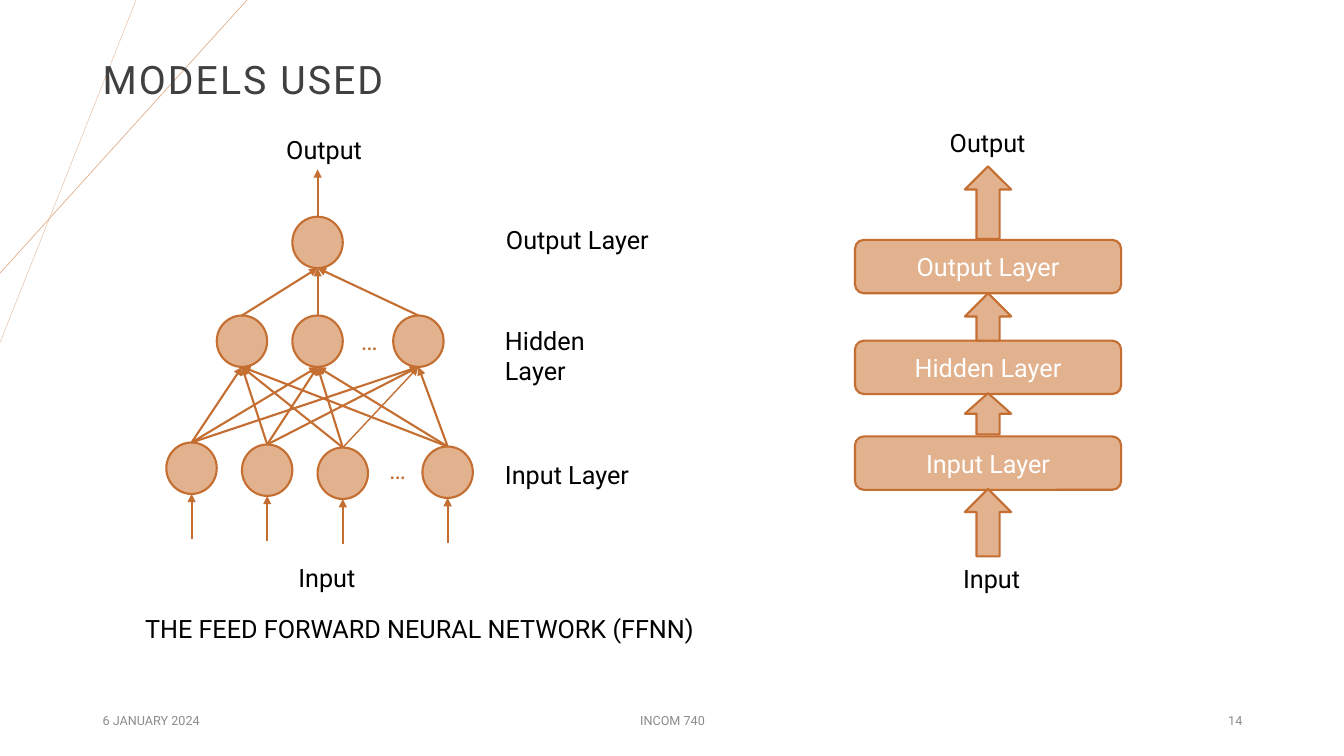
from dataclasses import dataclass

from lxml import etree
from pptx import Presentation
from pptx.dml.color import RGBColor
from pptx.enum.shapes import MSO_CONNECTOR, MSO_SHAPE
from pptx.enum.text import MSO_ANCHOR, PP_ALIGN
from pptx.oxml.ns import qn
from pptx.util import Inches, Pt


@dataclass(frozen=True)
class Theme:
    font: str = "Roboto"
    fill: str = "E2B18D"
    line: str = "C46E31"
    title: str = "404040"
    text: str = "000000"
    inverse: str = "FFFFFF"
    footer: str = "8C8C8C"
    title_size: float = 28
    body_size: float = 18
    footer_size: float = 9
    line_width: float = 1.5


THEME = Theme()
NODE_W, NODE_H = 0.5, 0.51


def write(s, text, size, color, align=PP_ALIGN.LEFT, anchor=MSO_ANCHOR.TOP):
    tf = s.text_frame
    tf.word_wrap = True
    tf.vertical_anchor = anchor
    tf.text = text
    p = tf.paragraphs[0]
    p.alignment = align
    font = p.runs[0].font
    font.name = THEME.font
    font.size = Pt(size)
    font.color.rgb = RGBColor.from_string(color)
    return p


def add_label(shapes, x, y, w, h, text, size=THEME.body_size, color=THEME.text, **layout):
    s = shapes.add_textbox(Inches(x), Inches(y), Inches(w), Inches(h))
    return write(s, text, size, color, **layout)


def add_block(shapes, kind, x, y, w, h):
    s = shapes.add_shape(kind, Inches(x), Inches(y), Inches(w), Inches(h))
    s.shadow.inherit = False
    s.fill.solid()
    s.fill.fore_color.rgb = RGBColor.from_string(THEME.fill)
    s.line.color.rgb = RGBColor.from_string(THEME.line)
    s.line.width = Pt(THEME.line_width)
    return s


def add_line(shapes, start, end, color=THEME.line, width=THEME.line_width, arrow=True):
    s = shapes.add_connector(MSO_CONNECTOR.STRAIGHT, *map(Inches, start + end))
    s.line.color.rgb = RGBColor.from_string(color)
    s.line.width = Pt(width)
    if arrow:
        etree.SubElement(s.line._get_or_add_ln(), qn("a:tailEnd"), type="triangle")
    etree.SubElement(s._element.spPr, qn("a:effectLst"))


def add_backdrop(shapes, x, y):
    for dx, dy, width in ((1.35, 3.4, 0.25), (2.45, 2.71, 0.5)):
        add_line(shapes, (x + dx, y), (x, y + dy), THEME.fill, width, arrow=False)


def add_title(shapes, x, y, w, h):
    p = add_label(shapes, x, y, w, h, "MODELS USED", THEME.title_size, THEME.title,
                  anchor=MSO_ANCHOR.MIDDLE)
    p.line_spacing = 0.9
    p.runs[0].font._element.set("spc", "150")


def add_network(shapes, x, y):
    # Nodes of each layer as (centre, top)
    inputs = [(x + dx, y + dy) for dx, dy in
              ((0.25, 3.11), (1, 3.13), (1.75, 3.16), (2.79, 3.15))]
    hidden = [(x + dx, y + 1.85) for dx in (0.75, 1.5, 2.5)]
    output = (x + 1.5, y + 0.87)
    for cx, top in inputs + hidden + [output]:
        add_block(shapes, MSO_SHAPE.OVAL, cx - NODE_W / 2, top, NODE_W, NODE_H)
    for dx, dy in ((2.11, 3.18), (1.83, 1.9)):
        add_label(shapes, x + dx, y + dy, 0.28, 0.37, "…", color=THEME.line)

    # Arrows between the layers
    def foot(node):
        return node[0], node[1] + NODE_H

    for i, source in enumerate(inputs):
        for j, target in enumerate(hidden):
            add_line(shapes, source, foot(target), width=1 if i == j == 2 else THEME.line_width)
    for source in hidden:
        add_line(shapes, source, foot(output))

    # Arrows into and out of the network
    add_line(shapes, output, (output[0], y + 0.4))
    for node in inputs:
        cx, bottom = foot(node)
        add_line(shapes, (cx, bottom + 0.45), (cx, bottom))

    # Labels
    for text, dx, dy in (("Input Layer", 3.26, 3.23), ("Hidden Layer", 3.26, 1.9),
                         ("Output Layer", 3.27, 0.9), ("Input", 1.21, 4.25),
                         ("Output", 1.09, 0)):
        add_label(shapes, x + dx, y + dy, 1.65, 0.37, text)


def add_stack(shapes, x, y, w):
    for text, dx, dy in (("Input", 0.53, 4.33), ("Output", 0.49, 0)):
        add_label(shapes, x + dx, y + dy, 1.65, 0.4, text, align=PP_ALIGN.CENTER)
    for text, dy in (("Output Layer", 1.17), ("Hidden Layer", 2.17), ("Input Layer", 3.12)):
        s = add_block(shapes, MSO_SHAPE.ROUNDED_RECTANGLE, x, y + dy, w, 0.53)
        write(s, text, THEME.body_size, THEME.inverse, PP_ALIGN.CENTER, MSO_ANCHOR.MIDDLE)
    arrow_w = 0.46
    for dy, h in ((0.44, 0.72), (1.7, 0.47), (2.69, 0.41), (3.64, 0.67)):
        add_block(shapes, MSO_SHAPE.UP_ARROW, x + (w - arrow_w) / 2, y + dy, arrow_w, h)


def add_footer(shapes, x, y, w):
    for text, dx, width, align in (("6 JANUARY 2024", 0, 3, PP_ALIGN.LEFT),
                                   ("INCOM 740", (w - 4.5) / 2, 4.5, PP_ALIGN.CENTER),
                                   ("14", w - 3, 3, PP_ALIGN.RIGHT)):
        add_label(shapes, x + dx, y, width, 0.4, text, THEME.footer_size, THEME.footer,
                  align=align, anchor=MSO_ANCHOR.MIDDLE)


def main():
    prs = Presentation()
    prs.slide_width, prs.slide_height = Inches(13.33), Inches(7.5)
    shapes = prs.slides.add_slide(prs.slide_layouts[6]).shapes
    add_backdrop(shapes, 0, 0)
    add_title(shapes, 0.92, 0.39, 9.21, 0.85)
    add_network(shapes.add_group_shape().shapes, 1.65, 1.28)
    add_stack(shapes.add_group_shape().shapes, 8.48, 1.21, 2.64)
    add_label(shapes, 1.34, 6.04, 5.95, 0.4, "THE FEED FORWARD NEURAL NETWORK (FFNN)")
    add_footer(shapes, 0.92, 6.95, 11.5)
    prs.save("out.pptx")


if __name__ == "__main__":
    main()
